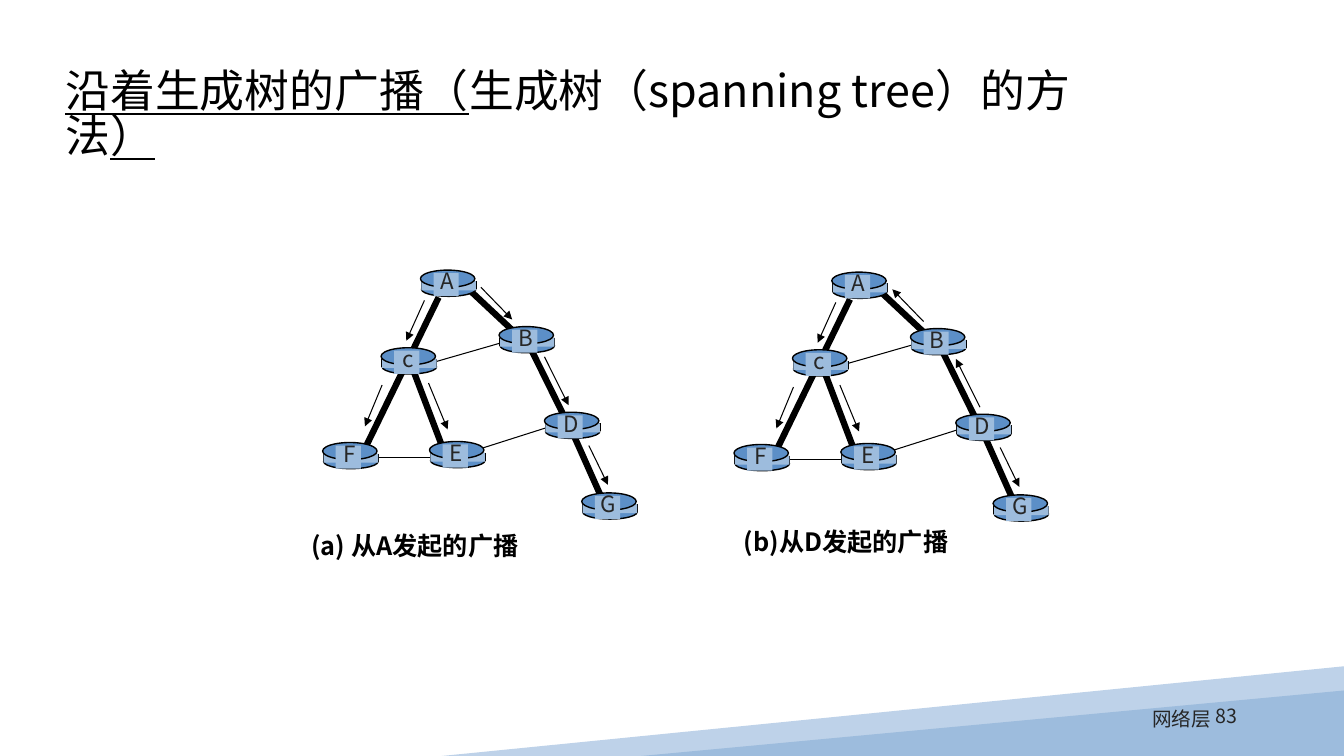
from lxml import etree
from pptx import Presentation, util as u
from pptx.dml.color import RGBColor
from pptx.enum import shapes, text
from pptx.oxml.ns import qn

PX = 9144  # 100 px to the inch
THEME = {
    "font": "Noto Sans CJK SC",
    "black": RGBColor.from_string("000000"),
    "grey": RGBColor.from_string("262626"),
    "pale": RGBColor.from_string("BED2E9"),
    "side": RGBColor.from_string("9DBCDD"),
    "lid": RGBColor.from_string("5C8FC7"),
    "title": 32, "caption": 18, "node": 16, "footer": 14,
    "tree": 4.5, "thin": 0.75, "outline": 1,
    "spacing": 0.83,
}

presentation = Presentation()
presentation.slide_width, presentation.slide_height = 1333 * PX, 750 * PX
slide = presentation.slides.add_slide(presentation.slide_layouts[6])


def add_text(runs, box, size, colour="grey", bold=False, wrap=True,
             align=text.PP_ALIGN.LEFT, anchor=text.MSO_ANCHOR.TOP):
    """Add a text box; runs is a list of (wording, underlined) pairs."""
    frame = slide.shapes.add_textbox(*(n * PX for n in box)).text_frame
    frame.word_wrap, frame.vertical_anchor = wrap, anchor
    paragraph = frame.paragraphs[0]
    paragraph.alignment, paragraph.line_spacing = align, THEME["spacing"]
    for wording, underlined in runs:
        run = paragraph.add_run()
        run.text = wording
        font = run.font
        font.name, font.size, font.bold = THEME["font"], u.Pt(THEME[size]), bold
        font.color.rgb, font.underline = THEME[colour], underlined
        properties = run._r.get_or_add_rPr()
        latin = properties.find(qn("a:latin"))
        east_asian = etree.Element(qn("a:ea"), typeface=THEME["font"])
        latin.addnext(east_asian)


def add_line(start, end, weight, arrow=False):
    line = slide.shapes.add_connector(
        shapes.MSO_CONNECTOR.STRAIGHT, *(n * PX for n in (*start, *end)))
    line.line.color.rgb = THEME["black"]
    line.line.width = u.Pt(THEME[weight])
    if arrow:
        etree.SubElement(line.line._get_or_add_ln(), qn("a:tailEnd"), type="triangle")
    etree.SubElement(line._element.spPr, qn("a:effectLst"))


# Each painted item: shape, fill, whether it has an outline
painted = []

# Sloping bands at the foot
builder = slide.shapes.build_freeform(1333, 661, scale=PX)
builder.add_line_segments([(1333, 744), (897, 750), (438, 750)], close=True)
painted.append((builder.convert_to_shape(), "pale", False))
wedge = slide.shapes.add_shape(shapes.MSO_SHAPE.ISOSCELES_TRIANGLE,
                               636 * PX, 685 * PX, 697 * PX, 65 * PX)
wedge.adjustments[0] = 1
painted.append((wedge, "side", False))

add_text([("83", False)], (942, 694, 295, 35), "footer",
         align=text.PP_ALIGN.RIGHT, anchor=text.MSO_ANCHOR.MIDDLE)

# The network, placed as the left diagram
routers = {"A": (417, 268), "B": (495, 324), "G": (577, 489), "D": (540, 409),
           "E": (426, 438), "c": (378, 345), "F": (320, 439)}
links = [
    ((523, 339), (560, 414), "tree"), ((562, 416), (599, 499), "tree"),
    ((543, 424), (477, 445), "thin"), ((442, 454), (362, 454), "thin"),
    ((439, 444), (409, 365), "tree"), ((428, 360), (501, 339), "thin"),
    ((467, 289), (515, 334), "tree"), ((435, 295), (361, 447), "tree"),
]
arrows = {
    "AC": ((421, 298), (403, 338)), "CF": ((379, 382), (362, 423)),
    "AB": ((477, 285), (508, 317)), "BD": ((540, 354), (564, 402)),
    "DG": ((584, 442), (603, 481)), "CE": ((425, 380), (444, 426)),
}
OVAL, RECTANGLE = shapes.MSO_SHAPE.OVAL, shapes.MSO_SHAPE.RECTANGLE
router_parts = [
    (OVAL, (1, 12, 54, 14), "lid", True),
    (RECTANGLE, (1, 11, 54, 9), "side", False),
    (OVAL, (0, 0, 54, 17), "lid", True),
    (RECTANGLE, (13, 3, 25, 23), "side", False),
]

# Offset of each diagram and the arrows that point back to the root
for dx, dy, reversed_arrows in [(0, 0, ()), (408, 2, ("AB", "BD"))]:
    for (x1, y1), (x2, y2), weight in links:
        add_line((x1 + dx, y1 + dy), (x2 + dx, y2 + dy), weight)

    for name, (left, top) in routers.items():
        x, y = left + dx, top + dy
        for edge in (1, 55):
            add_line((x + edge, y + 11), (x + edge, y + 19), "outline")
        for kind, (px, py, width, height), fill, outlined in router_parts:
            part = slide.shapes.add_shape(
                kind, (x + px) * PX, (y + py) * PX, width * PX, height * PX)
            painted.append((part, fill, outlined))
        add_text([(name, False)], (x + 9, y - 3, 35, 37), "node",
                 wrap=False, align=text.PP_ALIGN.CENTER)

    for name, ends in arrows.items():
        start, end = [(x + dx, y + dy) for x, y in ends]
        if name in reversed_arrows:
            start, end = end, start
        add_line(start, end, "thin", arrow=True)

for shape, fill, outlined in painted:
    shape.shadow.inherit = False
    shape.fill.solid()
    shape.fill.fore_color.rgb = THEME[fill]
    if outlined:
        shape.line.color.rgb = THEME["black"]
        shape.line.width = u.Pt(THEME["outline"])
    else:
        shape.line.fill.background()

for caption, box in [("(a) 从A发起的广播", (299, 526, 233, 40)),
                     ("(b)从D发起的广播", (728, 522, 224, 40))]:
    add_text([(caption, False)], box, "caption", colour="black", bold=True)

add_text([("沿着生成树的广播（", True), ("生成树（spanning tree）的方法", False), ("）", True)],
         (55, 58, 1051, 115), "title", colour="black", anchor=text.MSO_ANCHOR.MIDDLE)
add_text([("网络层", False)], (789, 700, 422, 50), "footer", align=text.PP_ALIGN.RIGHT)

presentation.save("out.pptx")
